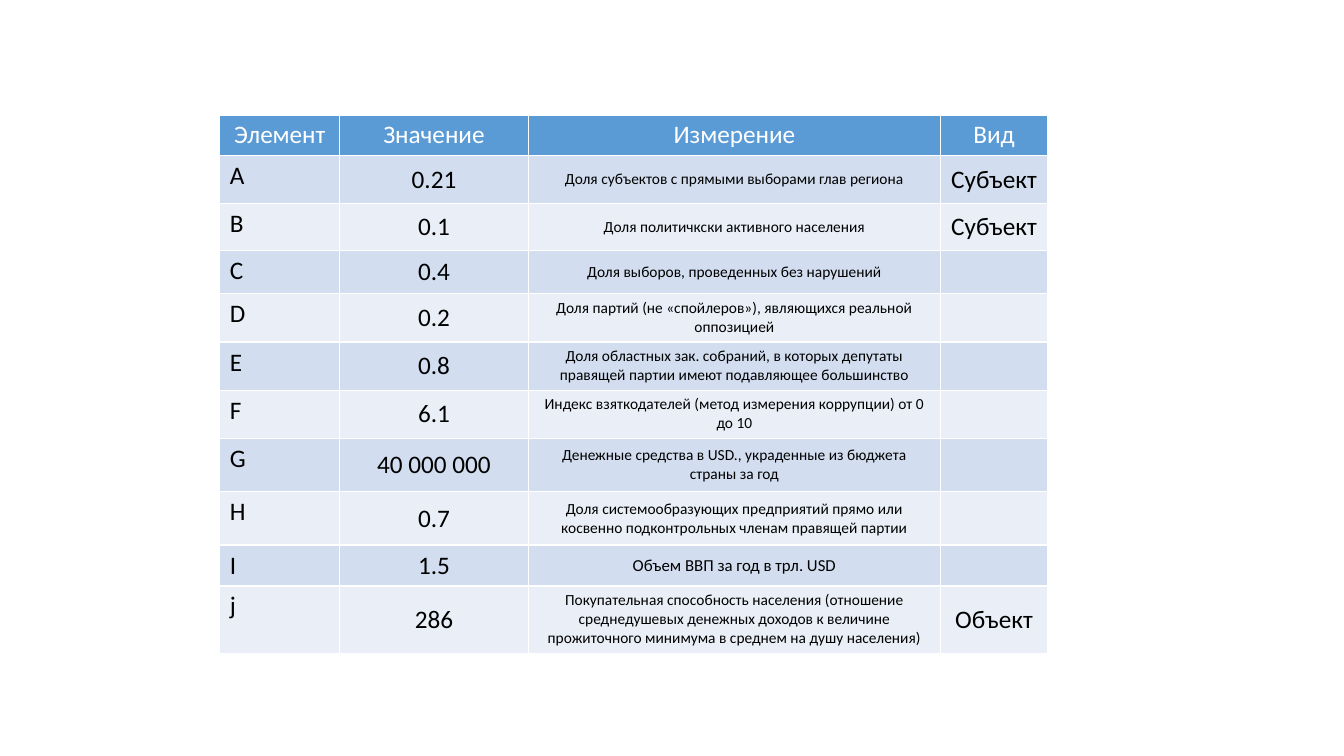
import pptx
import pptx.dml.color
import pptx.enum.text
import pptx.util

Inches = pptx.util.Inches
Align = pptx.enum.text.PP_ALIGN
Anchor = pptx.enum.text.MSO_ANCHOR

HEAD = ("Элемент", "Значение", "Измерение", "Вид")
ROWS = (
    ("A", "0.21", "Доля субъектов с прямыми выборами глав региона", "Субъект"),
    ("B", "0.1", "Доля политичкски активного населения", "Субъект"),
    ("C", "0.4", "Доля выборов, проведенных без нарушений", ""),
    ("D", "0.2", "Доля партий (не «спойлеров»), являющихся реальной оппозицией", ""),
    ("E", "0.8", "Доля областных зак. собраний, в которых депутаты "
     "правящей партии имеют подавляющее большинство", ""),
    ("F", "6.1", "Индекс взяткодателей (метод измерения коррупции) от 0 до 10", ""),
    ("G", "40 000 000", "Денежные средства в USD., украденные из бюджета страны за год", ""),
    ("H", "0.7", "Доля системообразующих предприятий прямо или "
     "косвенно подконтрольных членам правящей партии", ""),
    ("I", "1.5", "Объем ВВП за год в трл. USD", ""),
    ("j", "286", "Покупательная способность населения (отношение "
     "среднедушевых денежных доходов к величине "
     "прожиточного минимума в среднем на душу населения)", "Объект"),
)
WIDTHS = (1.19, 1.87, 4.09, 1.06)
HEIGHTS = (0.38, 0.47, 0.47, 0.43, 0.44, 0.47, 0.34, 0.53, 0.53, 0.38, 0.38)
BANDS = ("EAEFF7", "D2DEEF")


def color(code):
    return pptx.dml.color.RGBColor.from_string(code)


def fill_cell(cell, text, size, ink, back, align, anchor):
    cell.fill.solid()
    cell.fill.fore_color.rgb = color(back)
    cell.vertical_anchor = anchor
    cell.text = text
    para = cell.text_frame.paragraphs[0]
    para.alignment = align
    font = para.font
    font.name = "Calibri"
    font.size = pptx.util.Pt(size)
    font.bold = False
    font.color.rgb = color(ink)


def add_grid(slide, left, top, width, height):
    """Place the table of elements; its style draws the white borders."""
    table = slide.shapes.add_table(
        len(ROWS) + 1, len(HEAD), Inches(left), Inches(top),
        Inches(width), Inches(height)).table
    for column, size in zip(table.columns, WIDTHS):
        column.width = Inches(size)
    for row, size in zip(table.rows, HEIGHTS):
        row.height = Inches(size)

    for col, text in enumerate(HEAD):
        fill_cell(table.cell(0, col), text, 18, "FFFFFF", "5B9BD5",
                  Align.CENTER, Anchor.TOP)
    for row, texts in enumerate(ROWS, 1):
        for col, text in enumerate(texts):
            size = 18
            if HEAD[col] == "Измерение":
                size = 12 if texts[0] == "I" else 11
            align, anchor = ((Align.LEFT, Anchor.TOP) if col == 0
                             else (Align.CENTER, Anchor.MIDDLE))
            fill_cell(table.cell(row, col), text, size, "000000",
                      BANDS[row % 2], align, anchor)


def main():
    deck = pptx.Presentation()
    deck.slide_width = Inches(13.33)
    deck.slide_height = Inches(7.5)
    slide = deck.slides.add_slide(deck.slide_layouts[6])
    add_grid(slide, 2.18, 1.14, 8.22, 5.28)
    deck.save("out.pptx")


if __name__ == "__main__":
    main()
